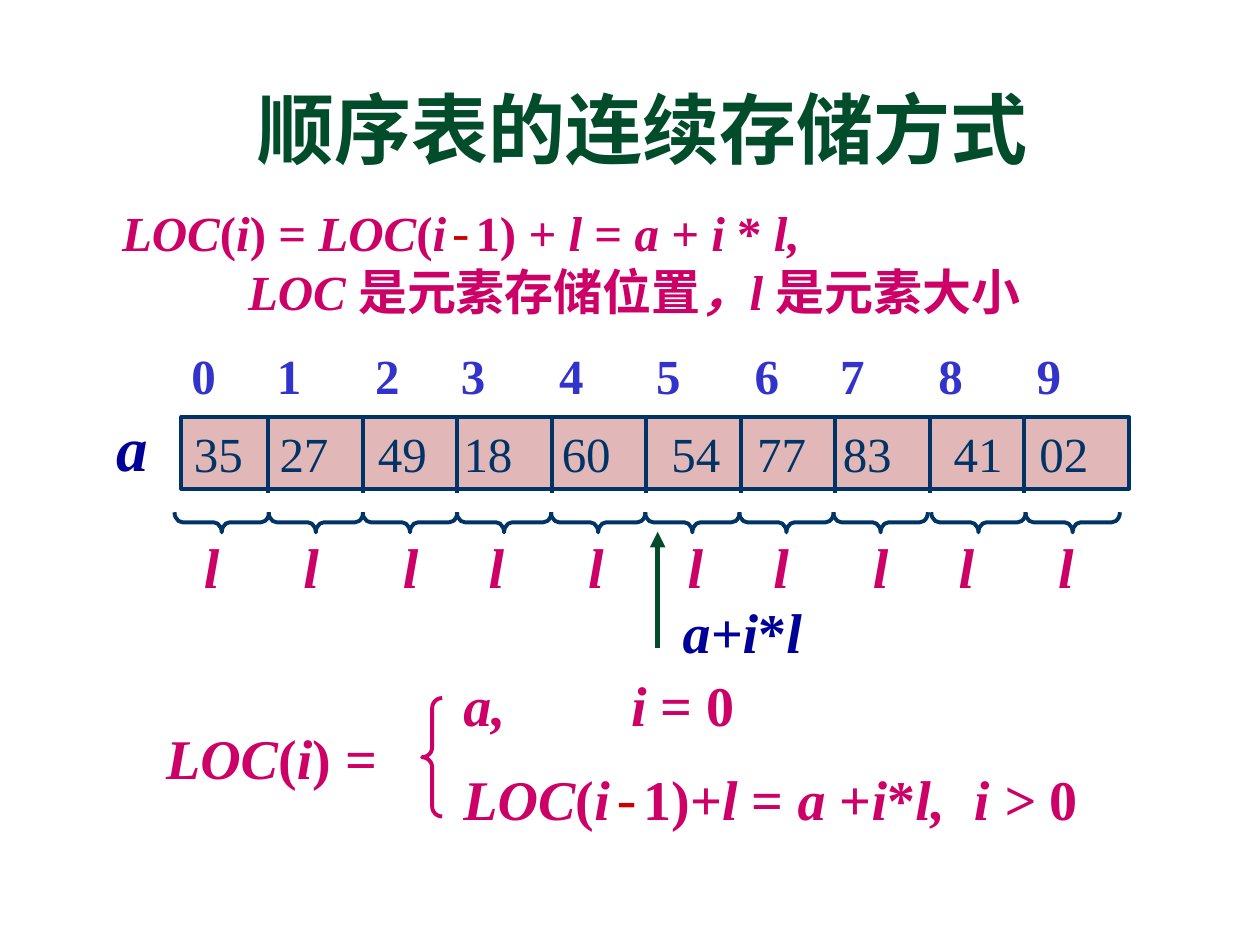
from pptx import Presentation
from pptx.dml.color import RGBColor
from pptx.enum.shapes import MSO_CONNECTOR, MSO_SHAPE
from pptx.enum.text import MSO_ANCHOR, PP_ALIGN
from pptx.oxml.ns import qn
from pptx.util import Inches, Pt
from lxml import etree

LINE = MSO_CONNECTOR.STRAIGHT
RECTANGLE, BRACE = MSO_SHAPE.RECTANGLE, MSO_SHAPE.LEFT_BRACE
TOP, BOTTOM = MSO_ANCHOR.TOP, MSO_ANCHOR.BOTTOM
LEFT, CENTER = PP_ALIGN.LEFT, PP_ALIGN.CENTER

GREEN = RGBColor(0x00, 0x4C, 0x2B)
MAGENTA = RGBColor(0xCC, 0x00, 0x66)
RED = RGBColor(0xCC, 0x00, 0x00)
NAVY = RGBColor(0x00, 0x33, 0x66)
BLUE = RGBColor(0x33, 0x33, 0xCC)
DARK_BLUE = RGBColor(0x00, 0x00, 0x99)
PINK = RGBColor(0xE1, 0xB7, 0xB7)
LATIN, CHINESE, MONO = "Times New Roman", "Noto Sans CJK SC", "Courier New"


def write(frame, lines, size, color, bold=True, tabs=(), align=LEFT, latin=LATIN):
    """Fill a text frame; "|" in a line switches between italic and upright, italic first."""
    frame.word_wrap = True
    for number, line in enumerate(lines):
        para = frame.add_paragraph() if number else frame.paragraphs[0]
        para.alignment = align
        if tabs:
            tab_list = etree.SubElement(para._p.get_or_add_pPr(), qn("a:tabLst"))
            for offset in tabs:
                etree.SubElement(tab_list, qn("a:tab"), pos=str(Inches(offset)), algn="l")
        for index, text in enumerate(line.split("|")):
            if not text:
                continue
            span = para.add_run()
            span.text = text
            values = {"name": latin, "size": Pt(size), "bold": bold, "italic": index % 2 == 0}
            if text == "-":
                values.update(name=MONO, bold=False)
            for name, value in values.items():
                setattr(span.font, name, value)
            span.font.color.rgb = RED if text == "-" else color
            etree.SubElement(span._r.get_or_add_rPr(), qn("a:ea"), typeface=CHINESE)


def add_brace(left, top, width, height, curve, color, rotation=0):
    brace = page.shapes.add_shape(BRACE, Inches(left), Inches(top), Inches(width), Inches(height))
    brace.adjustments[0] = curve
    brace.rotation = rotation
    brace.shadow.inherit = False
    brace.fill.background()
    brace.line.color.rgb = color
    brace.line.width = Pt(2.25)


deck = Presentation()
deck.slide_width, deck.slide_height = Inches(10), Inches(7.5)
page = deck.slides.add_slide(deck.slide_layouts[5])

title = page.shapes.title
title.left, title.top, title.width, title.height = map(Inches, (1.85, 0.6, 6.5, 0.83))
title.text_frame.vertical_anchor = BOTTOM
write(title.text_frame, ["|顺序表的连续存储方式"], 44, GREEN, align=CENTER, latin=CHINESE)

# Array cells
array_left, array_top, cell = 1.44, 3.31, 0.75
array = page.shapes.add_shape(
    RECTANGLE, Inches(array_left), Inches(array_top), Inches(7.52), Inches(0.57))
array.shadow.inherit = False
array.fill.solid()
array.fill.fore_color.rgb = PINK
array.line.color.rgb = NAVY
array.line.width = Pt(2.25)
array.text_frame.vertical_anchor = TOP
write(array.text_frame, ["|35\t27\t49\t18\t60\t54\t77\t83\t41\t02"], 28, NAVY, bold=False,
      tabs=(0.68, 1.46, 2.14, 2.92, 3.79, 4.47, 5.15, 6.03, 6.71))

# Cell dividers, then the arrow to the cell address
lines = [(2.13 + cell * i, array_top, 2.13 + cell * i, 3.91, NAVY, 2.25) for i in range(9)]
lines.append((5.22, 5.14, 5.22, 4.22, GREEN, 3))
for x1, y1, x2, y2, color, weight in lines:
    line = page.shapes.add_connector(LINE, Inches(x1), Inches(y1), Inches(x2), Inches(y2))
    line.line.color.rgb = color
    line.line.width = Pt(weight)
    etree.SubElement(line._element.spPr, qn("a:effectLst"))
etree.SubElement(line.line._get_or_add_ln(), qn("a:tailEnd"), type="triangle")

# One brace under each cell; the last two sit slightly further right
for i in range(10):
    center = 1.76 + 0.747 * i + (0.03 if i > 7 else 0)
    add_brace(center - 0.08, 3.77, 0.16, 0.75, 0.4, NAVY, rotation=270)
add_brace(3.35, 5.54, 0.16, 0.94, 0.5, MAGENTA)

# left, top, width, height, lines, size, colour, tab stops
texts = [
    (0.87, 1.56, 8.39, 1.12,
     ["LOC|(|i|) = |LOC|(|i|-||1) + |l| = |a |+ |i |* |l,",
      "\tLOC |是元素存储位置|，l |是元素大小"], 28, MAGENTA, (1,)),
    (1.42, 2.69, 7.3, 0.55, ["|" + "\t".join("0123456789")], 28, BLUE,
     (0.68, 1.46, 2.14, 2.92, 3.69, 4.47, 5.15, 5.93, 6.71)),
    (0.83, 3.19, 0.6, 0.7, ["a"], 36, DARK_BLUE, ()),
    (1.52, 4.18, 7.33, 0.64, ["\t".join("l" * 10)], 32, MAGENTA,
     (0.79, 1.58, 2.26, 3.05, 3.84, 4.52, 5.31, 5.99, 6.78)),
    (5.32, 4.69, 1.3, 0.64, ["a+i|*|l"], 32, DARK_BLUE, ()),
    (1.22, 5.69, 2.25, 0.64, ["LOC|(|i|) ="], 32, MAGENTA, ()),
    (3.58, 5.27, 2.98, 0.64, ["a,\ti |= 0"], 32, MAGENTA, (1.33,)),
    (3.58, 6.02, 5.39, 0.64, ["LOC|(|i|-||1)+|l| = |a |+|i|*|l,\ti > |0"], 32, MAGENTA, (4.05,)),
]
for left, top, width, height, content, size, color, tabs in texts:
    box = page.shapes.add_textbox(Inches(left), Inches(top), Inches(width), Inches(height))
    write(box.text_frame, content, size, color, tabs=tabs)

deck.save("out.pptx")
